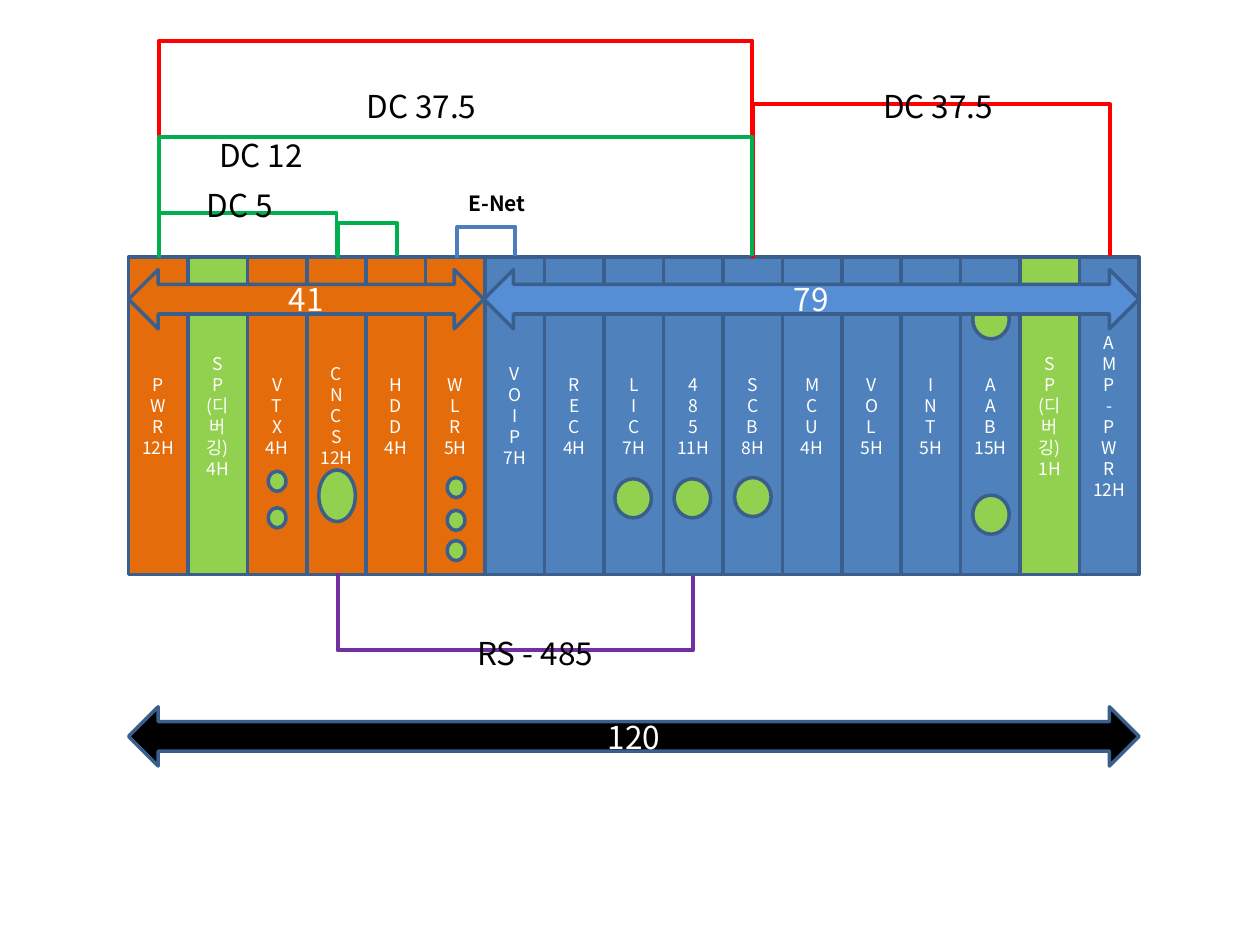
from dataclasses import dataclass

from lxml import etree
from pptx import Presentation
from pptx.dml.color import RGBColor
from pptx.enum import shapes, text
from pptx.oxml import ns
from pptx.util import Inches, Pt

FONT = "Noto Sans CJK KR"
ORANGE = RGBColor(0xE4, 0x6C, 0x0A)
BLUE = RGBColor(0x4F, 0x81, 0xBD)
SKY = RGBColor(0x55, 0x8E, 0xD5)
LIME = RGBColor(0x92, 0xD0, 0x50)
EDGE = RGBColor(0x3A, 0x5F, 0x8C)
RED = RGBColor(0xFF, 0x00, 0x00)
GREEN = RGBColor(0x00, 0xB0, 0x50)
PURPLE = RGBColor(0x70, 0x30, 0xA0)
WIRE_BLUE = RGBColor(0x4B, 0x7E, 0xBC)
BLACK = RGBColor(0, 0, 0)
WHITE = RGBColor(0xFF, 0xFF, 0xFF)

LEFT, RIGHT, TOP, BOTTOM = 1.02, 9.04, 2.04, 4.56
RISE = 0.02


@dataclass
class Module:
    lines: str
    fill: RGBColor


@dataclass
class Port:
    x: float
    y: float
    w: float = 0.29
    h: float = 0.31


@dataclass
class Wire:
    x1: float
    x2: float
    y: float
    color: RGBColor


@dataclass
class Span:
    label: str
    x1: float
    x2: float
    y: float
    fill: RGBColor


@dataclass
class Label:
    label: str
    x: float
    y: float
    w: float = 1.18
    h: float = 0.4
    size: int = 18
    bold: bool = False


MODULES = [
    Module("P W R 12H", ORANGE),
    Module("S P (디버깅) 4H", LIME),
    Module("V T X 4H", ORANGE),
    Module("C N C S 12H", ORANGE),
    Module("H D D 4H", ORANGE),
    Module("W L R 5H", ORANGE),
    Module("V O I P 7H", BLUE),
    Module("R E C 4H", BLUE),
    Module("L I C 7H", BLUE),
    Module("4 8 5 11H", BLUE),
    Module("S C B 8H", BLUE),
    Module("M C U 4H", BLUE),
    Module("V O L 5H", BLUE),
    Module("I N T 5H", BLUE),
    Module("A A B 15H", BLUE),
    Module("S P (디버깅) 1H", LIME),
    Module("A M P - P W R 12H", BLUE),
]
PORTS = [Port(5.83, 3.79), Port(4.88, 3.8), Port(5.35, 3.8), Port(7.72, 2.38),
         Port(7.72, 3.93), Port(2.53, 3.73, h=0.41)]
PORTS += [Port(x, y, 0.14, 0.16) for x, y in
          [(3.55, 3.79), (3.55, 4.05), (3.55, 4.29), (2.13, 3.74), (2.13, 4.03)]]
WIRES = [
    Wire(1.26, 5.97, 0.33, RED),
    Wire(5.98, 8.81, 0.83, RED),
    Wire(1.26, 5.97, 1.09, GREEN),
    Wire(1.26, 2.67, 1.69, GREEN),
    Wire(2.68, 5.5, 5.16, PURPLE),
    Wire(3.63, 4.09, 1.8, WIRE_BLUE),
    Wire(2.68, 3.15, 1.77, GREEN),
]
SPANS = [
    Span("41", LEFT, 3.84, 2.14, ORANGE),
    Span("79", 3.84, RIGHT, 2.14, SKY),
    Span("120", LEFT, RIGHT, 5.61, BLACK),
]
LABELS = [
    Label("DC 37.5", 2.81, 0.64),
    Label("DC 37.5", 6.91, 0.64),
    Label("DC 12", 1.64, 1.03),
    Label("DC 5", 1.54, 1.43),
    Label("RS - 485", 3.69, 4.98, 1.19),
    Label("E-Net", 3.62, 1.46, 0.7, 0.3, 12, True),
]


def write(tf, lines: list[str], size: int, color: RGBColor, align, bold: bool = False) -> None:
    fmt = {"size": Pt(size), "bold": bold, "name": FONT}
    for i, line in enumerate(lines):
        p = tf.paragraphs[0] if i == 0 else tf.add_paragraph()
        p.alignment = align
        r = p.add_run()
        r.text = line
        r.font.color.rgb = color
        for key, value in fmt.items():
            setattr(r.font, key, value)
        etree.SubElement(r.font._element, ns.qn("a:ea"), typeface=FONT)


def add_box(s, kind, x: float, y: float, w: float, h: float, fill: RGBColor,
            lines: tuple | list = (), size: int = 10) -> None:
    sp = s.shapes.add_shape(kind, Inches(x), Inches(y), Inches(w), Inches(h))
    sp.shadow.inherit = False
    sp.fill.solid()
    sp.fill.fore_color.rgb = fill
    sp.line.color.rgb = EDGE
    sp.line.width = Pt(2)
    sp.text_frame.vertical_anchor = text.MSO_ANCHOR.MIDDLE
    write(sp.text_frame, lines, size, WHITE, text.PP_ALIGN.CENTER)


def add_wire(s, wire: Wire) -> None:
    above = wire.y < TOP
    start = TOP + RISE / 2 if above else BOTTOM - RISE / 2
    middle = TOP if above else BOTTOM
    span = wire.x2 - wire.x1
    x, y = (wire.x1 + wire.x2 - RISE) / 2, middle - span / 2
    sp = s.shapes.add_connector(shapes.MSO_CONNECTOR.ELBOW, Inches(x), Inches(y),
                                Inches(x + RISE), Inches(y + span))
    sp.line.color.rgb = wire.color
    sp.line.width = Pt(2.25)
    spPr = sp._element.spPr
    turn = {"rot": "5400000", "flipH": "1", "flipV": "1"} if above else {"rot": "16200000", "flipH": "1"}
    for key, value in turn.items():
        spPr.xfrm.set(key, value)
    bend = round(abs(start - wire.y) / RISE * 100000)
    guides = spPr.find(ns.qn("a:prstGeom")).find(ns.qn("a:avLst"))
    etree.SubElement(guides, ns.qn("a:gd"), name="adj1", fmla=f"val {bend}")
    etree.SubElement(spPr, ns.qn("a:effectLst"))


def add_label(s, label: Label) -> None:
    sp = s.shapes.add_textbox(Inches(label.x), Inches(label.y), Inches(label.w), Inches(label.h))
    tf = sp.text_frame
    for key, value in {"word_wrap": True, "auto_size": text.MSO_AUTO_SIZE.SHAPE_TO_FIT_TEXT}.items():
        setattr(tf, key, value)
    write(tf, [label.label], label.size, BLACK, text.PP_ALIGN.LEFT, label.bold)


def main() -> None:
    prs = Presentation()
    prs.slide_width, prs.slide_height = Inches(10), Inches(7.5)
    s = prs.slides.add_slide(prs.slide_layouts[6])
    kind = shapes.MSO_SHAPE
    pitch = (RIGHT - LEFT) / len(MODULES)
    for i, m in enumerate(MODULES):
        add_box(s, kind.RECTANGLE, LEFT + i * pitch, TOP, pitch, BOTTOM - TOP, m.fill, m.lines.split())
    for port in PORTS:
        add_box(s, kind.OVAL, port.x, port.y, port.w, port.h, LIME)
    for wire in WIRES:
        add_wire(s, wire)
    for span in SPANS:
        add_box(s, kind.LEFT_RIGHT_ARROW, span.x1, span.y, span.x2 - span.x1, 0.47, span.fill,
                [span.label], 18)
    for label in LABELS:
        add_label(s, label)
    prs.save("out.pptx")


if __name__ == "__main__":
    main()
